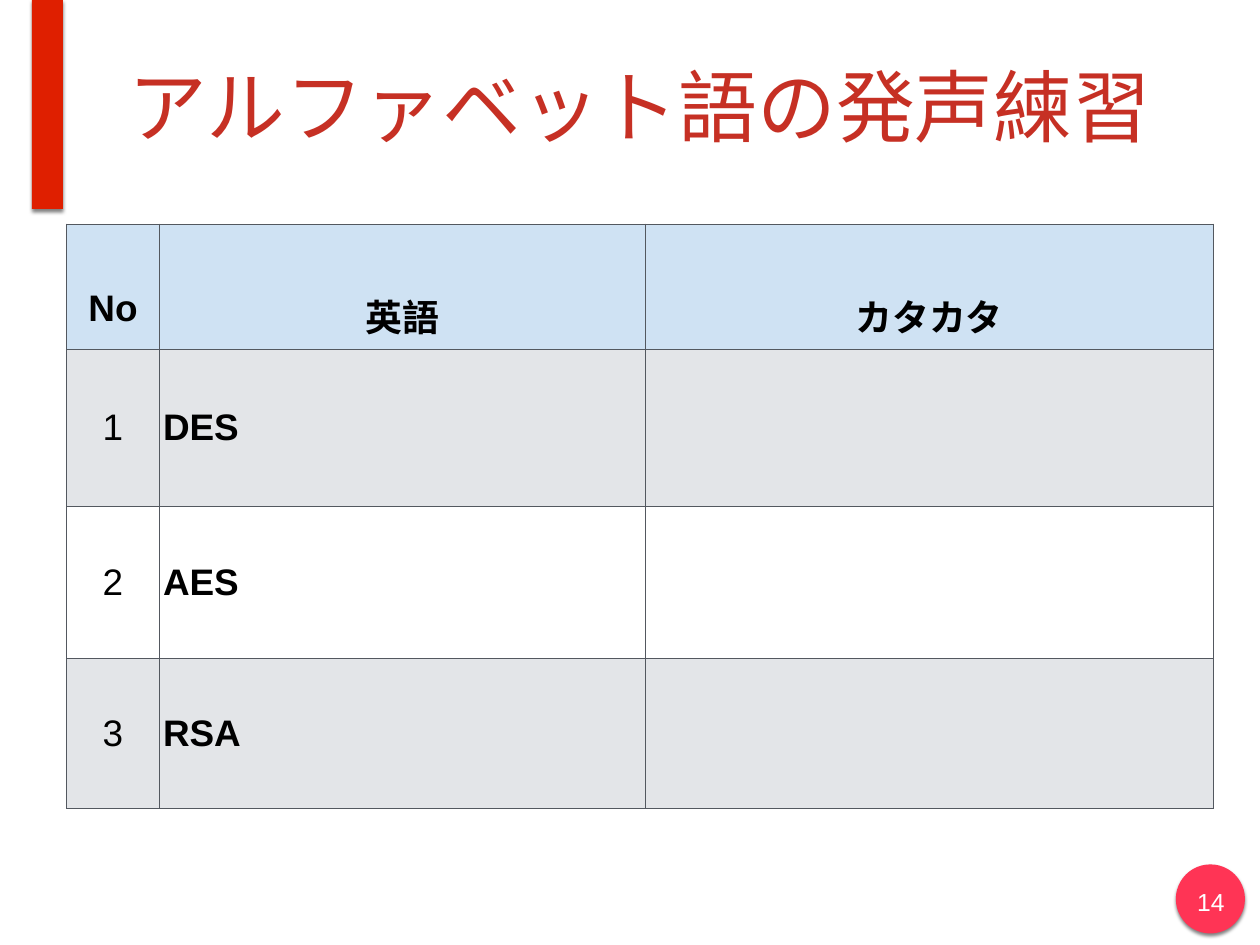
from dataclasses import dataclass

from lxml import etree
from pptx import Presentation
from pptx.dml.color import RGBColor
from pptx.enum.shapes import MSO_SHAPE
from pptx.enum.text import MSO_ANCHOR, PP_ALIGN
from pptx.oxml.ns import qn
from pptx.util import Inches, Pt

RECTANGLE = MSO_SHAPE.RECTANGLE
OVAL = MSO_SHAPE.OVAL
MIDDLE = MSO_ANCHOR.MIDDLE
LEFT = PP_ALIGN.LEFT
CENTER = PP_ALIGN.CENTER


@dataclass(frozen=True)
class Theme:
    font: str = "Arial"
    title: str = "C63024"
    accent: str = "DF1F00"
    badge: str = "FF3455"
    header: str = "CFE2F3"
    band: str = "E3E5E8"
    white: str = "FFFFFF"
    text: str = "000000"
    border: str = "53585F"
    title_size: int = 64
    table_size: int = 30
    number_size: int = 20


THEME = Theme()
COLUMN_WIDTHS = (1.05, 5.48, 6.41)
ROW_HEIGHTS = (1.42, 1.77, 1.72, 1.69)
ROWS = (
    ("No", "英語", "カタカタ"),
    ("1", "DES", ""),
    ("2", "AES", ""),
    ("3", "RSA", ""),
)


def style_paragraph(para, size, color, align=LEFT, bold=False):
    para.alignment = align
    for span in para.runs:
        span.font.name = THEME.font
        span.font.size = Pt(size)
        span.font.bold = bold
        span.font.color.rgb = RGBColor.from_string(color)


def add_shadow(shape):
    shape.shadow.inherit = False
    effects = shape._element.spPr.find(qn("a:effectLst"))
    shadow = etree.SubElement(effects, qn("a:outerShdw"), blurRad=str(Pt(3)),
                              dist=str(Pt(2)), dir="5400000", rotWithShape="0")
    color = etree.SubElement(shadow, qn("a:srgbClr"), val=THEME.text)
    etree.SubElement(color, qn("a:alpha"), val="49000")


def add_block(page, kind, box, color):
    shape = page.shapes.add_shape(kind, *map(Inches, box))
    shape.fill.solid()
    shape.fill.fore_color.rgb = RGBColor.from_string(color)
    shape.line.fill.background()
    add_shadow(shape)


def add_text(page, box, text, size, color, align=LEFT):
    frame = page.shapes.add_textbox(*map(Inches, box)).text_frame
    frame.word_wrap = True
    frame.vertical_anchor = MIDDLE
    frame.margin_left = frame.margin_right = Inches(0.06)
    frame.margin_top = frame.margin_bottom = Inches(0.06)
    frame.text = text
    style_paragraph(frame.paragraphs[0], size, color, align)


def add_title(page, box):
    left, top, width, height = box
    add_block(page, RECTANGLE, (left, top, 0.35, 2.36), THEME.accent)
    add_text(page, (left + 1.03, top + 0.12, width - 1.03, height - 0.12),
             "アルファベット語の発声練習", THEME.title_size, THEME.title)


def add_page_number(page, box):
    left, top, width, height = box
    add_block(page, OVAL, box, THEME.badge)
    add_text(page, (left + 0.15, top + 0.19, width - 0.29, height - 0.33),
             "14", THEME.number_size, THEME.white, CENTER)


def add_cell_borders(cell):
    properties = cell._tc.get_or_add_tcPr()
    for position, side in enumerate(("lnL", "lnR", "lnT", "lnB")):
        line = etree.Element(qn(f"a:{side}"), w=str(Pt(0.75)))
        fill = etree.SubElement(line, qn("a:solidFill"))
        etree.SubElement(fill, qn("a:srgbClr"), val=THEME.border)
        properties.insert(position, line)


def fill_cell(cell, text, row, column):
    cell.fill.solid()
    color = THEME.header if row == 0 else THEME.band if row % 2 else THEME.white
    cell.fill.fore_color.rgb = RGBColor.from_string(color)
    cell.vertical_anchor = MIDDLE
    cell.margin_left = cell.margin_right = Inches(0.04)
    cell.margin_top = cell.margin_bottom = Inches(0.03)
    add_cell_borders(cell)
    if text:
        cell.text = text
        para = cell.text_frame.paragraphs[0]
        align = CENTER if row == 0 or column == 0 else LEFT
        style_paragraph(para, THEME.table_size, THEME.text, align,
                        bold=row == 0 or column > 0)
        if row == 0:
            para.line_spacing = 2.05


def add_word_table(page, box):
    table = page.shapes.add_table(len(ROWS), len(COLUMN_WIDTHS),
                                  *map(Inches, box)).table
    for column, width in zip(table.columns, COLUMN_WIDTHS):
        column.width = Inches(width)
    for row, height in zip(table.rows, ROW_HEIGHTS):
        row.height = Inches(height)
    for row, texts in enumerate(ROWS):
        for column, text in enumerate(texts):
            fill_cell(table.cell(row, column), text, row, column)


def main():
    deck = Presentation()
    deck.slide_width = Inches(14.22)
    deck.slide_height = Inches(10.67)
    page = deck.slides.add_slide(deck.slide_layouts[6])
    add_page_number(page, (13.27, 9.76, 0.78, 0.78))
    add_title(page, (0.36, 0, 13.17, 2.24))
    add_word_table(page, (0.75, 2.53, sum(COLUMN_WIDTHS), sum(ROW_HEIGHTS)))
    deck.save("out.pptx")


if __name__ == "__main__":
    main()
